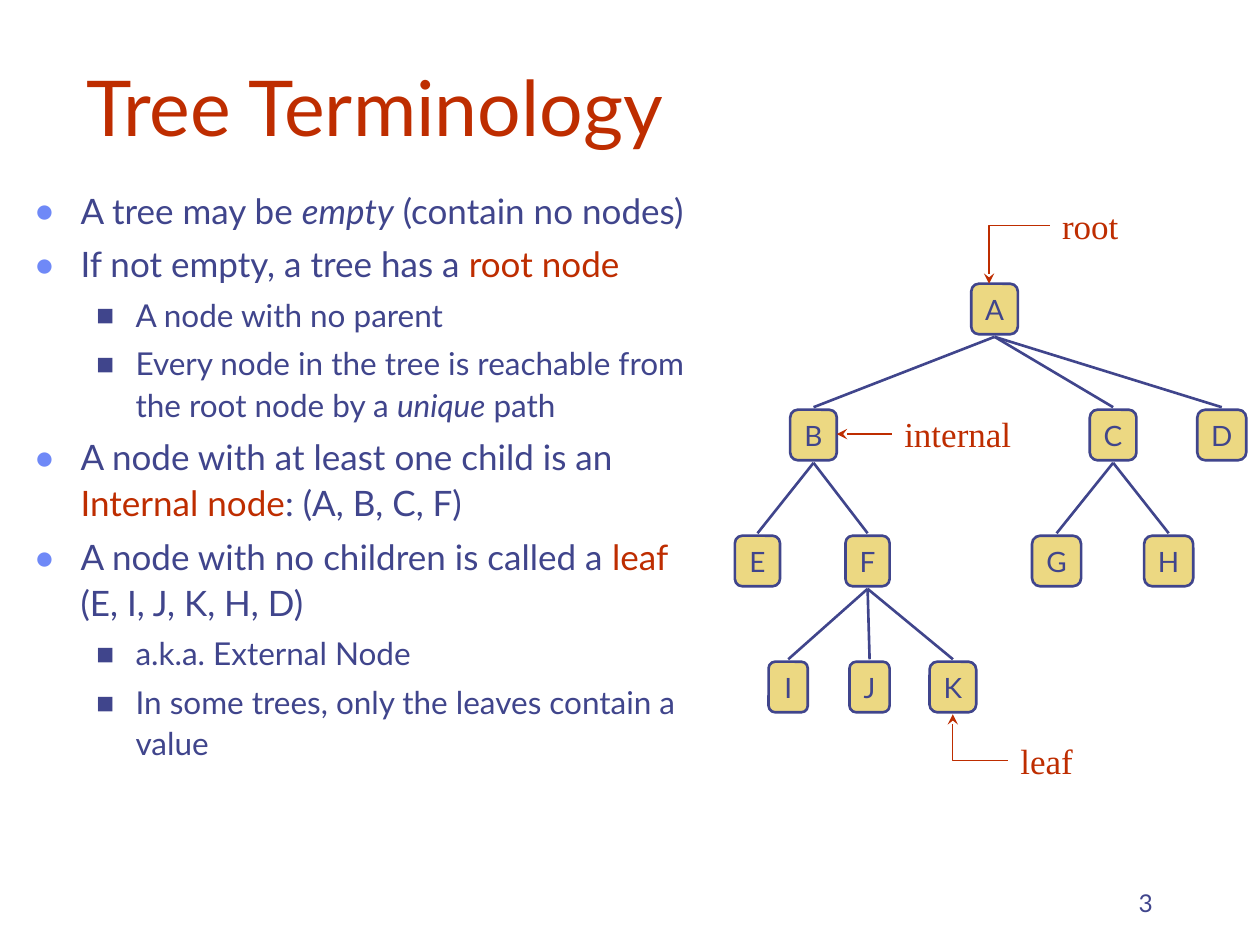
from collections import namedtuple
from dataclasses import dataclass

from lxml import etree
from pptx import Presentation
from pptx.dml.color import RGBColor
from pptx.enum.shapes import MSO_CONNECTOR, MSO_SHAPE
from pptx.enum.text import MSO_ANCHOR, MSO_AUTO_SIZE, PP_ALIGN
from pptx.oxml.ns import qn
from pptx.util import Cm, Pt

STRAIGHT, ELBOW = MSO_CONNECTOR.STRAIGHT, MSO_CONNECTOR.ELBOW
ROUNDED = MSO_SHAPE.ROUNDED_RECTANGLE
BOTTOM, MIDDLE, TOP = MSO_ANCHOR.BOTTOM, MSO_ANCHOR.MIDDLE, MSO_ANCHOR.TOP
LEFT, CENTER, RIGHT = PP_ALIGN.LEFT, PP_ALIGN.CENTER, PP_ALIGN.RIGHT
NO_FIT = MSO_AUTO_SIZE.NONE

Box = namedtuple("Box", "left top width height")
Level = namedtuple("Level", "size margin hanging bullet bullet_color bullet_percent")


@dataclass(frozen=True)
class Theme:
    """Colours, fonts and type sizes of the slide."""
    ink: str = "40458C"
    accent: str = "BE2D00"
    node: str = "ECD882"
    dot: str = "6F89F7"
    sans: str = "Lato"
    serif: str = "Times New Roman"
    title: int = 44
    point: int = 20
    detail: int = 18
    label: int = 20
    letter: int = 16
    number: int = 14


THEME = Theme()
LEVELS = (
    Level(THEME.point, 0.95, 0.95, "•", THEME.dot, 110),
    Level(THEME.detail, 2.06, 0.79, "■", THEME.ink, 60),
)

POINTS = (
    (0, ("A tree may be ", "_empty", " (contain no nodes)")),
    (0, ("If not empty, a tree has a ", "*root node")),
    (1, ("A node with no parent",)),
    (1, ("Every node in the tree is reachable from the root node by a ", "_unique", " path")),
    (0, ("A node with at least one child is an ", "*Internal node", ": (A, B, C, F)")),
    (0, ("A node with no children is called a ", "*leaf ", "(E, I, J, K, H, D)")),
    (1, ("a.k.a. External Node",)),
    (1, ("In some trees, only the leaves contain a value",)),
)

NODES = {
    "A": (0, 5.25, 0.94),
    "B": (1, 1.6, 0.94), "C": (1, 7.64, 0.94), "D": (1, 9.83, 0.99),
    "E": (2, 0.47, 0.91), "F": (2, 2.69, 0.89),
    "G": (2, 6.5, 0.99), "H": (2, 8.76, 0.99),
    "I": (3, 1.09, 0.79), "J": (3, 2.73, 0.81), "K": (3, 4.41, 0.94),
}
CHILDREN = {"A": "BCD", "B": "EF", "C": "GH", "F": "IJK"}
CALLOUTS = (
    ("root", 6.36, 0, (5.14, 1.72), ELBOW),
    ("internal", 3.18, 4.2, (2.07, 4.75), STRAIGHT),
    ("leaf", 5.52, 10.78, (4.41, 10.4), ELBOW),
)
FIRST_ROW, ROW_PITCH, NODE_HEIGHT, EDGE_GAP = 1.72, 2.54, 1.02, 0.05


def place(shape, box):
    """Move and size a shape to a box in centimetres."""
    shape.left, shape.top, shape.width, shape.height = map(Cm, box)


def style(font, size, color=THEME.ink, name=THEME.sans):
    """Set the face, size and colour of a font."""
    font.name, font.size = name, Pt(size)
    font.color.rgb = RGBColor.from_string(color)


def write(frame, text, size, color=THEME.ink, name=THEME.sans, align=LEFT, anchor=TOP, wrap=True):
    """Fill a text frame with one formatted paragraph."""
    frame.word_wrap, frame.auto_size, frame.vertical_anchor = wrap, NO_FIT, anchor
    paragraph = frame.paragraphs[0]
    paragraph.alignment = align
    paragraph.add_run().text = text
    style(paragraph.font, size, color, name)


def add_text(slide, box, text, size, **options):
    """Add a text box with one paragraph."""
    write(slide.shapes.add_textbox(*map(Cm, box)).text_frame, text, size, **options)


def add_line(slide, start, end, color, width, kind=STRAIGHT, arrow=False):
    """Draw a straight or one-bend line, with an optional arrowhead."""
    line = slide.shapes.add_connector(kind, *map(Cm, (*start, *end)))
    line.line.color.rgb = RGBColor.from_string(color)
    line.line.width = Pt(width)
    properties = line._element.spPr
    if kind == ELBOW:
        properties.find(qn("a:prstGeom")).set("prst", "bentConnector2")
    if arrow:
        etree.SubElement(line.line._get_or_add_ln(), qn("a:tailEnd"), type="stealth")
    etree.SubElement(properties, qn("a:effectLst"))


def set_bullet(paragraph, level):
    """Give a paragraph the bullet and hanging indent of its level."""
    properties = paragraph._p.get_or_add_pPr()
    properties.set("marL", str(Cm(level.margin)))
    properties.set("indent", str(-Cm(level.hanging)))
    color = etree.SubElement(properties, qn("a:buClr"))
    etree.SubElement(color, qn("a:srgbClr"), val=level.bullet_color)
    etree.SubElement(properties, qn("a:buSzPct"), val=str(level.bullet_percent * 1000))
    etree.SubElement(properties, qn("a:buFont"), typeface=THEME.sans)
    etree.SubElement(properties, qn("a:buChar"), char=level.bullet)


def fill_title(slide, box):
    """Write the slide title."""
    title = slide.shapes.title
    place(title, box)
    write(title.text_frame, "Tree Terminology", THEME.title, color=THEME.accent, anchor=BOTTOM)


def fill_points(slide, box):
    """Write the list, where _ marks italics and * marks a key term."""
    body = slide.placeholders[1]
    place(body, box)
    frame = body.text_frame
    frame.word_wrap, frame.auto_size = True, NO_FIT
    for index, (depth, pieces) in enumerate(POINTS):
        paragraph = frame.add_paragraph() if index else frame.paragraphs[0]
        level = LEVELS[depth]
        paragraph.level = depth
        set_bullet(paragraph, level)
        paragraph.alignment = LEFT
        paragraph.line_spacing = 1.1
        paragraph.space_before = Pt(0.22 * level.size if index else 0)
        style(paragraph.font, level.size)
        for piece in pieces:
            run = paragraph.add_run()
            run.text = piece.lstrip("_*")
            if piece.startswith("_"):
                run.font.italic = True
            elif piece.startswith("*"):
                run.font.color.rgb = RGBColor.from_string(THEME.accent)


def draw_tree(slide, box):
    """Draw the nodes, edges and callouts of the tree."""
    def row_top(row):
        """Return the top of a row of nodes."""
        return box.top + FIRST_ROW + row * ROW_PITCH

    for parent, children in CHILDREN.items():
        row, center, _ = NODES[parent]
        start = box.left + center, row_top(row) + NODE_HEIGHT + EDGE_GAP
        for child in children:
            end = box.left + NODES[child][1], row_top(row + 1) - EDGE_GAP
            add_line(slide, start, end, THEME.ink, 1.5)

    for letter, (row, center, width) in NODES.items():
        bounds = box.left + center - width / 2, row_top(row), width, NODE_HEIGHT
        node = slide.shapes.add_shape(ROUNDED, *map(Cm, bounds))
        node.shadow.inherit = False
        node.fill.solid()
        node.fill.fore_color.rgb = RGBColor.from_string(THEME.node)
        node.line.color.rgb = RGBColor.from_string(THEME.ink)
        node.line.width = Pt(1.5)
        write(node.text_frame, letter, THEME.letter, align=CENTER, anchor=MIDDLE, wrap=False)

    for text, x, y, (tip_x, tip_y), kind in CALLOUTS:
        left, top = box.left + x, box.top + y
        add_text(slide, Box(left, top, 3.81, 1.09), text, THEME.label,
                 color=THEME.accent, name=THEME.serif)
        add_line(slide, (left, top + 0.55), (box.left + tip_x, box.top + tip_y),
                 THEME.accent, 0.75, kind, arrow=True)


def main():
    """Build the slide and save it."""
    deck = Presentation()
    deck.slide_width, deck.slide_height = Cm(25.4), Cm(19.05)
    slide = deck.slides.add_slide(deck.slide_layouts[1])
    fill_title(slide, Box(1.48, 0, 21.59, 3.18))
    fill_points(slide, Box(0.42, 3.6, 13.76, 15.66))
    draw_tree(slide, Box(14.8, 4, 10.35, 11.9))
    add_text(slide, Box(18.21, 17.35, 5.28, 1.27), "3", THEME.number, align=RIGHT, anchor=BOTTOM)
    deck.save("out.pptx")


if __name__ == "__main__":
    main()
